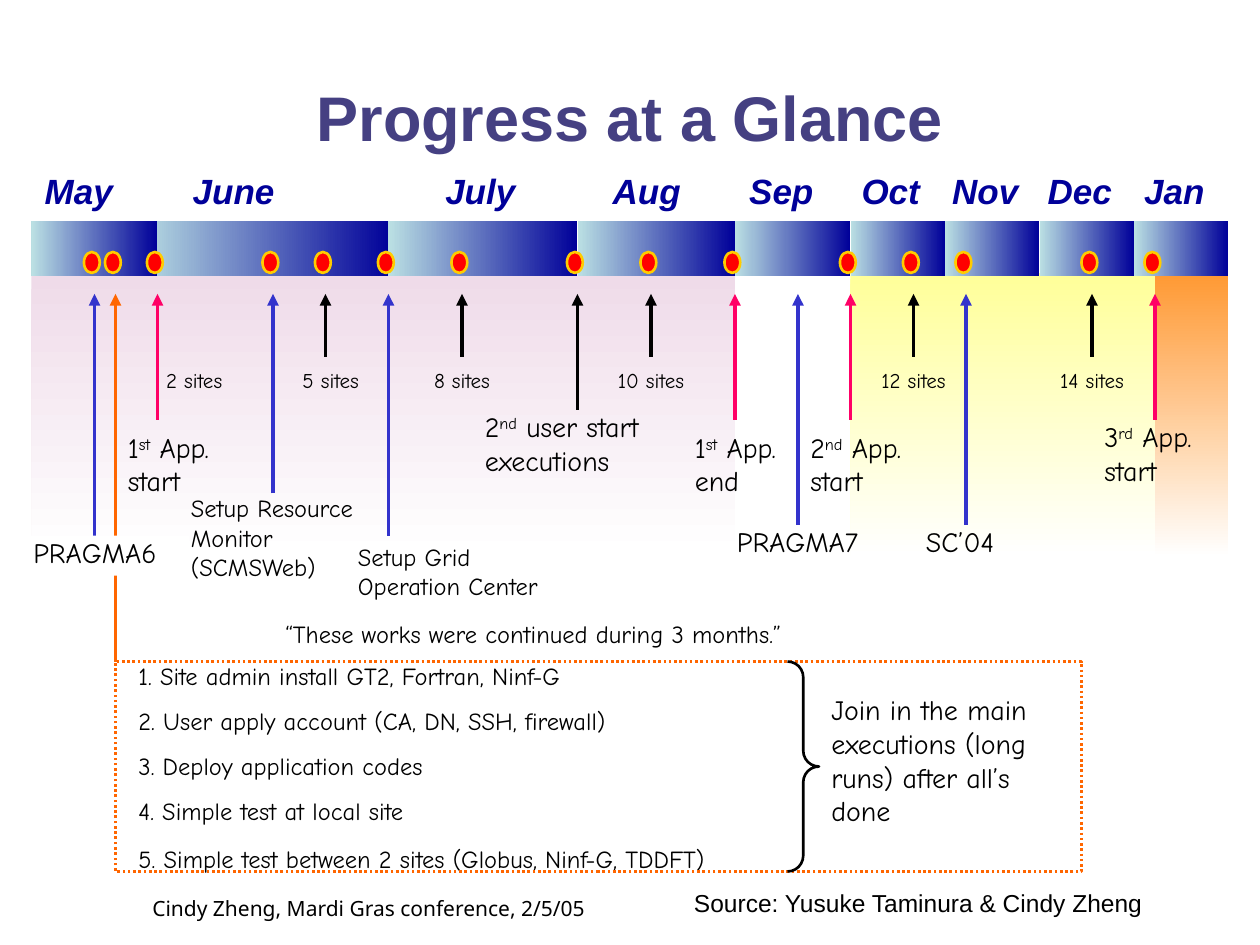
from dataclasses import dataclass

from lxml.etree import SubElement
from pptx import Presentation
from pptx.dml.color import RGBColor
from pptx.enum.dml import MSO_LINE
from pptx.enum.shapes import MSO_CONNECTOR, MSO_SHAPE
from pptx.enum.text import MSO_ANCHOR, MSO_AUTO_SIZE, PP_ALIGN
from pptx.oxml.ns import qn
from pptx.util import Pt

rgb = RGBColor.from_string


@dataclass(frozen=True)
class Theme:
    title: str = "454082"
    navy: str = "000099"
    ice: str = "BBE0E3"
    white: str = "FFFFFF"
    ink: str = "000000"
    red: str = "FF0000"
    gold: str = "FFCC00"
    orange: str = "FF6600"
    blue: str = "3333CC"
    pink: str = "FF0066"
    band_pink: str = "EFDBE9"
    band_yellow: str = "FFFF99"
    band_orange: str = "FF9933"
    sans: str = "Arial"
    hand: str = "Comic Neue"
    footer_font: str = "Noto Sans"
    title_size: int = 36
    month_size: int = 20
    event_size: int = 16
    detail_size: int = 14
    small_size: int = 12


theme = Theme()
presentation = Presentation()
presentation.slide_width, presentation.slide_height = Pt(720), Pt(540)
slide = presentation.slides.add_slide(presentation.slide_layouts[5])


def add_form(preset, box, fill=None, line=None, width=1.5, angle=0):
    """Add a preset shape; a pair of colours as fill makes a gradient."""
    form = slide.shapes.add_shape(preset, *map(Pt, box))
    form.shadow.inherit = False
    if fill is None:
        form.fill.background()
    elif isinstance(fill, tuple):
        form.fill.gradient()
        form.fill.gradient_angle = angle
        for stop, color in zip(form.fill.gradient_stops, fill):
            stop.color.rgb = rgb(color)
    else:
        form.fill.solid()
        form.fill.fore_color.rgb = rgb(fill)
    if line:
        form.line.color.rgb = rgb(line)
        form.line.width = Pt(width)
    else:
        form.line.fill.background()
    return form


def add_text(content, box, size=theme.event_size, font=theme.hand, color=theme.ink,
             strong=False, align=PP_ALIGN.LEFT, insets=(7.2, 0, 7.2, 3.6),
             wrap=True, gap=0, spacing=None, fill=None):
    """Add a text box; a newline starts a paragraph, carets enclose superscript."""
    label = slide.shapes.add_textbox(*map(Pt, box))
    if fill:
        label.fill.solid()
        label.fill.fore_color.rgb = rgb(fill)
    frame = label.text_frame
    frame.word_wrap = wrap
    frame.auto_size = MSO_AUTO_SIZE.SHAPE_TO_FIT_TEXT
    frame.margin_left, frame.margin_top, frame.margin_right, frame.margin_bottom = map(Pt, insets)
    for index, line in enumerate(content.split("\n")):
        paragraph = frame.add_paragraph() if index else frame.paragraphs[0]
        paragraph.alignment = align
        if index and gap:
            paragraph.space_before = Pt(gap)
        if spacing:
            paragraph.line_spacing = spacing
        for part, words in enumerate(line.split("^")):
            run = paragraph.add_run()
            run.text = words
            run.font.size, run.font.name = Pt(size), font
            run.font.bold = run.font.italic = strong
            run.font.color.rgb = rgb(color)
            if part % 2:
                run.font._element.set("baseline", "30000")
    return label


# Title
title = slide.shapes.title
title.left, title.top, title.width, title.height = Pt(36), Pt(21.6), Pt(648), Pt(90)
title.text_frame.text = "Progress at a Glance"
title.text_frame.vertical_anchor = MSO_ANCHOR.MIDDLE
title.text_frame.auto_size = MSO_AUTO_SIZE.NONE
heading = title.text_frame.paragraphs[0]
heading.alignment = PP_ALIGN.CENTER
heading.font.size, heading.font.name, heading.font.bold = Pt(theme.title_size), theme.sans, True
heading.font.color.rgb = rgb(theme.title)

# Phases that fade out below the timeline
for left, right, color in [(654, 702, theme.band_orange), (486, 660, theme.band_yellow),
                           (18, 420, theme.band_pink)]:
    add_form(MSO_SHAPE.RECTANGLE, (left, 156, right - left, 162),
             fill=(color, theme.white), angle=270)

# Months: name, bar left, bar right, label left, label width; May lies over the start of June
months = [
    ("June", 78, 224, 108, 51), ("July", 222, 330, 252, 45), ("Aug", 330, 420, 348, 43),
    ("Sep", 420, 486, 426, 41), ("Oct", 486, 540, 486, 46), ("Nov", 540, 594, 540, 46),
    ("Dec", 594, 648, 594, 46), ("Jan", 648, 702, 648, 46), ("May", 18, 90, 18, 54),
]
for month, left, right, label_left, label_width in months:
    add_form(MSO_SHAPE.RECTANGLE, (left, 126, right - left, 31.5),
             fill=(theme.navy, theme.ice), angle=180)
    add_text(month, (label_left, 95.5, label_width, 26), size=theme.month_size, font=theme.sans,
             color=theme.navy, strong=True, align=PP_ALIGN.CENTER,
             insets=(2, 1.5, 2, 1.5), wrap=False)

# Events: x, foot of the arrow, colour; all but the one without a marker get a dot
events = [
    (54, 306, theme.blue), (66, 378, theme.orange), (90, 240, theme.pink),
    (156, 282, theme.blue), (186, 204, theme.ink), (222, 306, theme.blue),
    (264, 204, theme.ink), (330, 234, theme.ink), (372, 204, theme.ink),
    (420, 240, theme.pink), (456, 300, theme.blue), (486, 240, theme.pink),
    (522, 204, theme.ink), (552, 300, theme.blue), (624, 204, theme.ink),
    (660, 240, theme.pink),
]
unmarked_x = 456
arrows = {}
for x, foot, color in events:
    arrow = slide.shapes.add_connector(MSO_CONNECTOR.STRAIGHT, Pt(x), Pt(foot), Pt(x), Pt(168))
    arrow.line.color.rgb = rgb(color)
    arrow.line.width = Pt(2.25)
    properties = arrow._element.spPr
    SubElement(properties.find(qn("a:ln")), qn("a:tailEnd"), type="triangle")
    SubElement(properties, qn("a:effectLst"))
    arrows[x] = arrow
    if x != unmarked_x:
        add_form(MSO_SHAPE.OVAL, (x - 6, 144, 9, 12), fill=theme.red, line=theme.gold)

# Site counts
for count, left, width in [(2, 84, 54), (5, 162, 54), (8, 234, 60), (10, 342, 60),
                           (12, 492, 60), (14, 594, 60)]:
    add_text(f"{count} sites", (left, 210, width, 18), size=theme.small_size,
             align=PP_ALIGN.CENTER)

# Event labels
add_text("PRAGMA6", (12, 306, 96, 23), fill=theme.white)
add_text("PRAGMA7", (414, 300, 96, 23))
for words, left, top, width in [("1^st^ App. start", 66, 246, 66), ("1^st^ App. end", 390, 246, 66),
                                ("2^nd^ App. start", 456, 246, 72),
                                ("3^rd^ App. start", 624, 240, 72)]:
    add_text(words, (left, top, width, 42))
for x, words, box in [(330, "2^nd^ user start executions", (270, 234, 120, 42)),
                      (552, "SC’04", (522, 300, 60, 23))]:
    arrows[x].begin_connect(add_text(words, box), 0)
add_text("Setup Resource Monitor (SCMSWeb)", (102, 282, 120, 54), size=theme.detail_size)
add_text("Setup Grid\nOperation Center", (197.5, 306, 117, 41), size=theme.detail_size,
         insets=(7.2, 3.6, 7.2, 3.6), wrap=False)
add_text("“These works were continued during 3 months.”", (156, 354, 324, 21),
         size=theme.detail_size)

# Steps of joining
steps = add_text("1. Site admin install GT2, Fortran, Ninf-G\n"
                 "2. User apply account (CA, DN, SSH, firewall)\n"
                 "3. Deploy application codes\n"
                 "4. Simple test at local site\n"
                 "5. Simple test between 2 sites (Globus, Ninf-G, TDDFT)",
                 (72, 378, 384, 125), size=theme.detail_size, gap=8.8)
steps.text_frame.paragraphs[-1].space_before = Pt(10.7)
frame_box = add_form(MSO_SHAPE.RECTANGLE, (66, 378, 552, 120), line=theme.orange)
frame_box.line.dash_style = MSO_LINE.ROUND_DOT
brace = add_form(MSO_SHAPE.RIGHT_BRACE, (450, 378, 18, 120), line=theme.ink)
brace.adjustments[0] = 0.5
add_text("Join in the main executions (long runs) after all’s done", (468, 396, 144, 81))

# Footer
add_text("Cindy Zheng, Mardi Gras conference, 2/5/05", (80, 510, 316, 20), size=theme.small_size,
         font=theme.footer_font, insets=(7.2, 3.6, 7.2, 3.6), wrap=False, spacing=0.9)
add_text("Source: Yusuke Taminura & Cindy Zheng", (389.5, 504, 273.5, 24.5),
         size=theme.detail_size, font=theme.sans, insets=(7.2, 3.6, 7.2, 3.6), wrap=False)

presentation.save("out.pptx")
